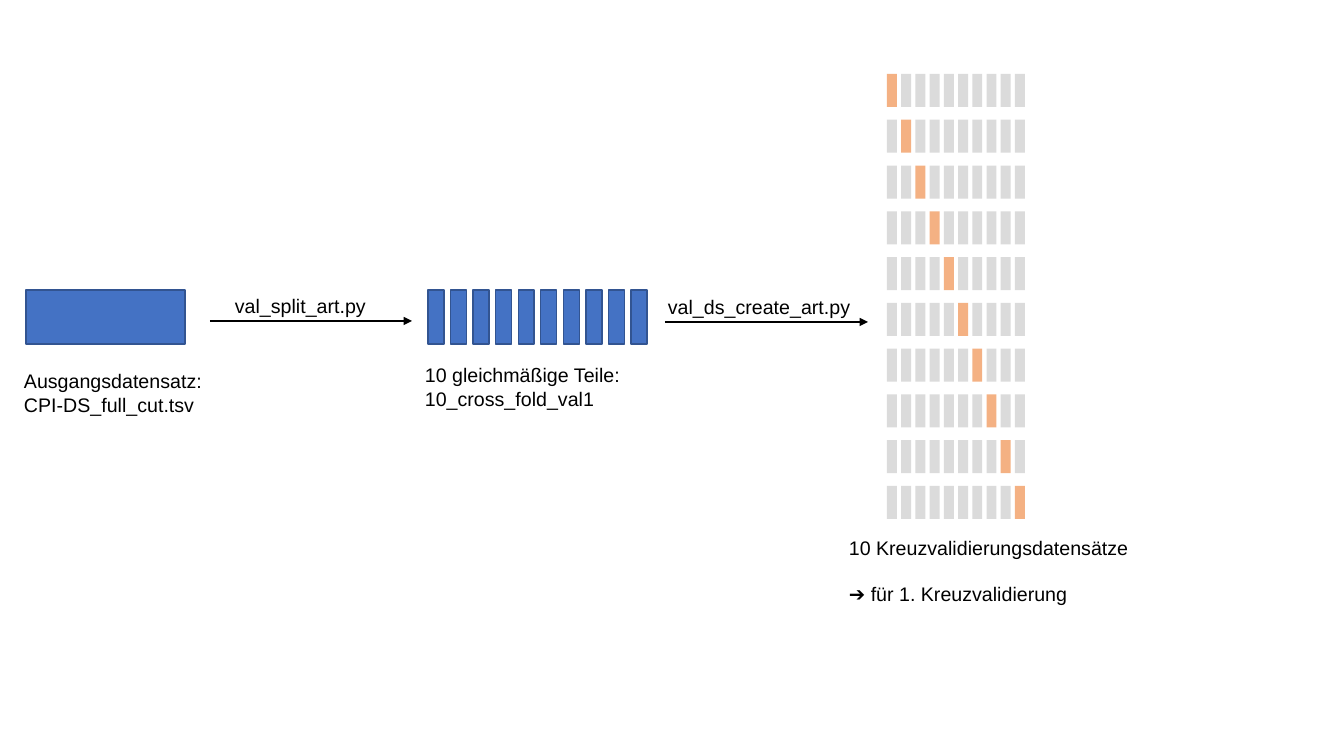
"""Builds a slide showing how a dataset is split into cross-validation sets."""
from lxml.etree import SubElement
from pptx import Presentation
from pptx.dml.color import RGBColor
from pptx.enum.shapes import MSO_CONNECTOR as Connector, MSO_SHAPE as Shape
from pptx.oxml.ns import qn
from pptx.util import Emu, Pt

COLORS = {"text": "000000", "data": "4472C4", "data_line": "325491",
          "training": "DBDBDB", "validation": "F4B183"}
LABELS = [
    (14, 364, 203, 57, ["Ausgangsdatensatz:", "CPI-DS_full_cut.tsv"], 0),
    (415, 358, 232, 82, ["10 gleichmäßige Teile:", "10_cross_fold_val1"], 0),
    (658, 290, 210, 34, ["val_ds_create_art.py"], 0),
    (225, 289, 155, 34, ["val_split_art.py"], 0),
    (839, 531, 316, 82, ["10 Kreuzvalidierungsdatensätze", "➔ für 1. Kreuzvalidierung"], 16),
]
ARROWS = [(210, 412, 321), (665, 868, 322)]
DATASET = (26, 290, 159, 54)
FOLDS = 10
PART_LEFTS, PART_SIZE = (428, 631), (16, 54)
CELL_LEFTS, CELL_TOPS, CELL_SIZE = (887, 1015), (74, 486), (10, 33)


def px(value):
    return Emu(round(value * 914400 / 100.8))


def color(name):
    return RGBColor.from_string(COLORS[name])


def spread(first, last):
    return [first + (last - first) * i / (FOLDS - 1) for i in range(FOLDS)]


def add_bar(shapes, left, top, width, height, fill, line=None):
    shape = shapes.add_shape(Shape.RECTANGLE, px(left), px(top), px(width), px(height))
    shape.shadow.inherit = False
    shape.fill.solid()
    shape.fill.fore_color.rgb = color(fill)
    if line:
        shape.line.color.rgb = color(line)
        shape.line.width = Pt(1)
    else:
        shape.line.fill.background()


def add_label(shapes, left, top, width, height, lines, gap):
    frame = shapes.add_textbox(px(left), px(top), px(width), px(height)).text_frame
    frame.word_wrap = True
    frame.text = "\n".join(lines)
    for paragraph in frame.paragraphs:
        paragraph.font.name = "Arial"
        paragraph.font.size = Pt(14)
        paragraph.font.color.rgb = color("text")
        paragraph.space_before = Pt(gap if paragraph.text != lines[0] else 0)


def add_arrow(shapes, start, end, y):
    arrow = shapes.add_connector(Connector.STRAIGHT, px(start), px(y), px(end), px(y))
    arrow.line.color.rgb = color("text")
    arrow.line.width = Pt(1.5)
    SubElement(arrow.line._get_or_add_ln(), qn("a:tailEnd"), type="triangle")
    SubElement(arrow._element.spPr, qn("a:effectLst"))


presentation = Presentation()
presentation.slide_width, presentation.slide_height = px(1344), px(756)
slide = presentation.slides.add_slide(presentation.slide_layouts[6])

for label in LABELS:
    add_label(slide.shapes, *label)
for arrow_ends in ARROWS:
    add_arrow(slide.shapes, *arrow_ends)

add_bar(slide.shapes, *DATASET, "data", "data_line")
for left in spread(*PART_LEFTS):
    add_bar(slide.shapes, left, DATASET[1], *PART_SIZE, "data", "data_line")

for fold, top in enumerate(spread(*CELL_TOPS)):
    fold_group = slide.shapes.add_group_shape()
    for part, left in enumerate(spread(*CELL_LEFTS)):
        role = "validation" if part == fold else "training"
        add_bar(fold_group.shapes, left, top, *CELL_SIZE, role)

presentation.save("out.pptx")
